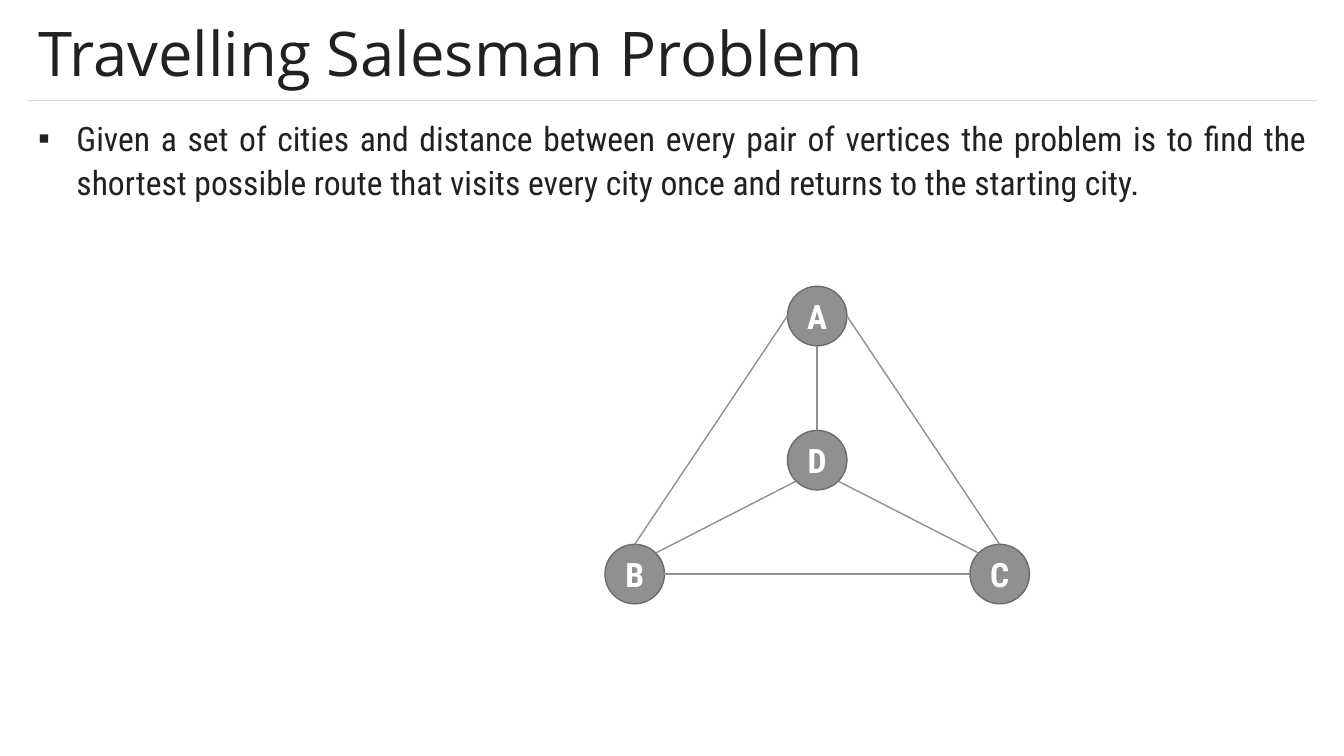
from math import cos, radians, sin

from lxml.etree import SubElement
from pptx import Presentation
from pptx.dml.color import RGBColor
from pptx.enum.shapes import MSO_CONNECTOR, MSO_SHAPE
from pptx.enum.text import MSO_ANCHOR, PP_ALIGN
from pptx.oxml.ns import qn
from pptx.util import Inches, Pt

INK = RGBColor(0x21, 0x21, 0x21)
RULE = RGBColor(0xD9, 0xD9, 0xD9)
GREY = RGBColor(0x90, 0x90, 0x90)
EDGE = RGBColor(0x6B, 0x6B, 0x6B)
WHITE = RGBColor(0xFF, 0xFF, 0xFF)
HEAD = "Open Sans"
BODY = "Roboto Condensed"
SIZE = 0.59


def add_run(para, text, face, size, color, bold=False):
    run = para.add_run()
    run.text = text
    font = run.font
    font.name, font.size, font.bold = face, Pt(size), bold
    font.color.rgb = color


def add_box(slide, box, anchor):
    frame = slide.shapes.add_textbox(*map(Inches, box)).text_frame
    frame.word_wrap = True
    frame.vertical_anchor = anchor
    return frame.paragraphs[0]


def add_line(slide, start, end, color, width):
    line = slide.shapes.add_connector(
        MSO_CONNECTOR.STRAIGHT, *map(Inches, (*start, *end)))
    line.line.color.rgb = color
    line.line.width = Pt(width)
    SubElement(line._element.spPr, qn("a:effectLst"))


def add_title(slide, box, text):
    left, top, width, height = box
    base = top + height
    add_line(slide, (left, base), (left + width, base), RULE, 0.5)
    para = add_box(slide, box, MSO_ANCHOR.MIDDLE)
    para.line_spacing = 0.9
    add_run(para, text, HEAD, 44, INK)


def add_body(slide, box, text):
    para = add_box(slide, box, MSO_ANCHOR.TOP)
    para.alignment = PP_ALIGN.JUSTIFY
    para.line_spacing = 1.1
    para.space_after = Pt(6)
    props = para._p.get_or_add_pPr()
    props.set("marL", str(Inches(0.38)))
    props.set("indent", str(-Inches(0.38)))
    SubElement(props, qn("a:buFont")).set("typeface", "Arial")
    SubElement(props, qn("a:buChar")).set("char", "▪")
    add_run(para, text, BODY, 24, INK)


def add_city(slide, name, left, top):
    city = slide.shapes.add_shape(
        MSO_SHAPE.OVAL, *map(Inches, (left, top, SIZE, SIZE)))
    city.shadow.inherit = False
    city.fill.solid()
    city.fill.fore_color.rgb = GREY
    city.line.color.rgb = EDGE
    city.line.width = Pt(1)
    frame = city.text_frame
    frame.margin_left = frame.margin_right = 0
    frame.margin_top = frame.margin_bottom = 0
    frame.vertical_anchor = MSO_ANCHOR.MIDDLE
    para = frame.paragraphs[0]
    para.alignment = PP_ALIGN.CENTER
    add_run(para, name, BODY, 24, WHITE, True)


def add_graph(slide, box):
    left, top, width, height = box
    mid = left + (width - SIZE) / 2
    low = top + height - SIZE
    cities = {"A": (mid, top), "B": (left, low),
              "C": (left + width - SIZE, low), "D": (mid, top + 1.43)}
    for name, (x, y) in cities.items():
        add_city(slide, name, x, y)

    def rim(name, angle):
        x, y = cities[name]
        half, turn = SIZE / 2, radians(angle)
        return x + half + half * cos(turn), y + half - half * sin(turn)

    roads = [("A", 180, "B", 90), ("B", 0, "C", 180), ("B", 45, "D", 225),
             ("C", 135, "D", 315), ("C", 90, "A", 0), ("D", 90, "A", 270)]
    for start, out, end, into in roads:
        add_line(slide, rim(start, out), rim(end, into), GREY, 1)


def main():
    deck = Presentation()
    deck.slide_width, deck.slide_height = Inches(13.33), Inches(7.5)
    slide = deck.slides.add_slide(deck.slide_layouts[6])
    add_title(slide, (0.28, 0.12, 12.78, 0.88), "Travelling Salesman Problem")
    add_body(slide, (0.28, 1.08, 12.78, 5.83),
             "Given a set of cities and distance between every pair of "
             "vertices the problem is to find the shortest possible route "
             "that visits every city once and returns to the starting city.")
    add_graph(slide, (6, 2.84, 4.21, 3.15))
    deck.save("out.pptx")


if __name__ == "__main__":
    main()
